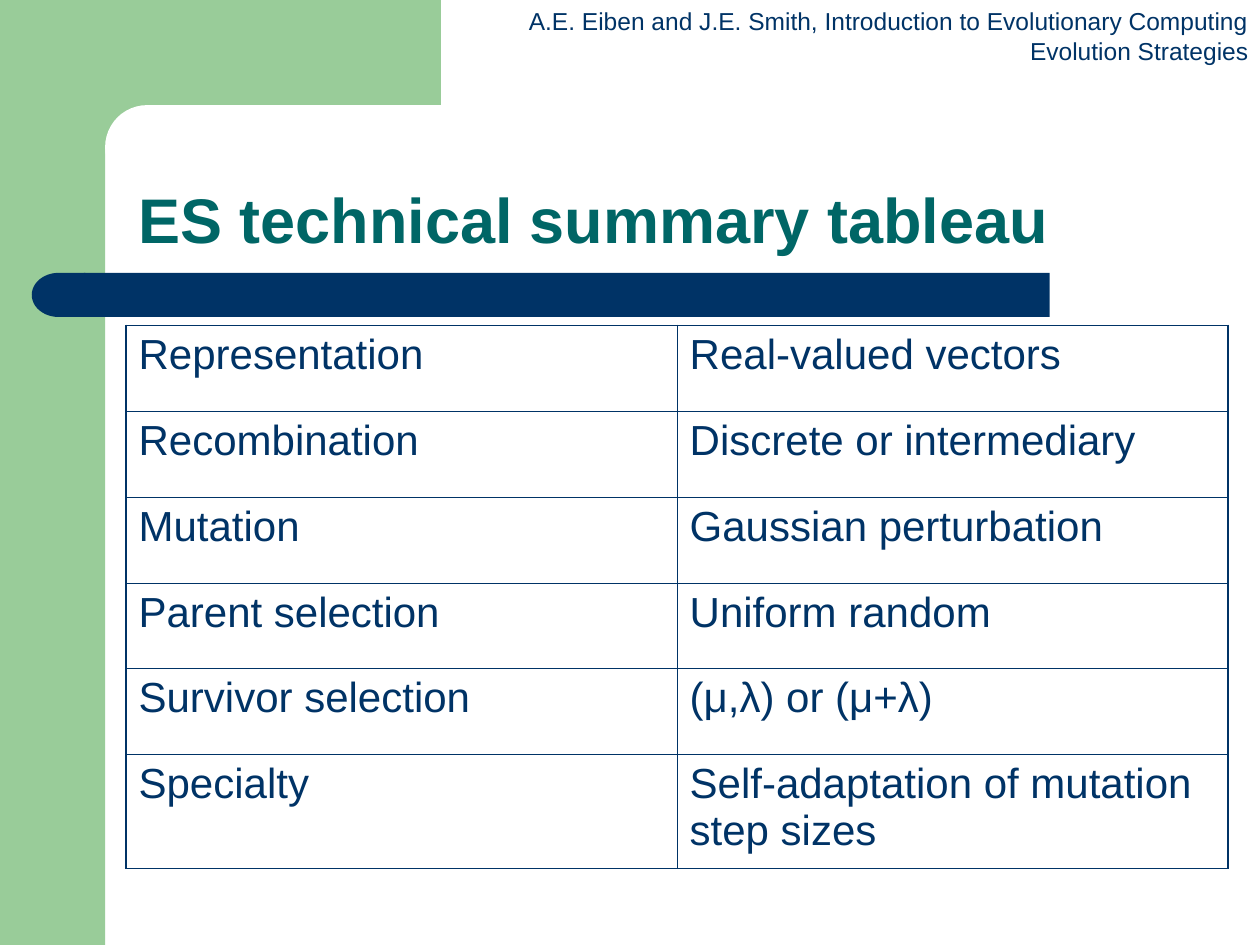
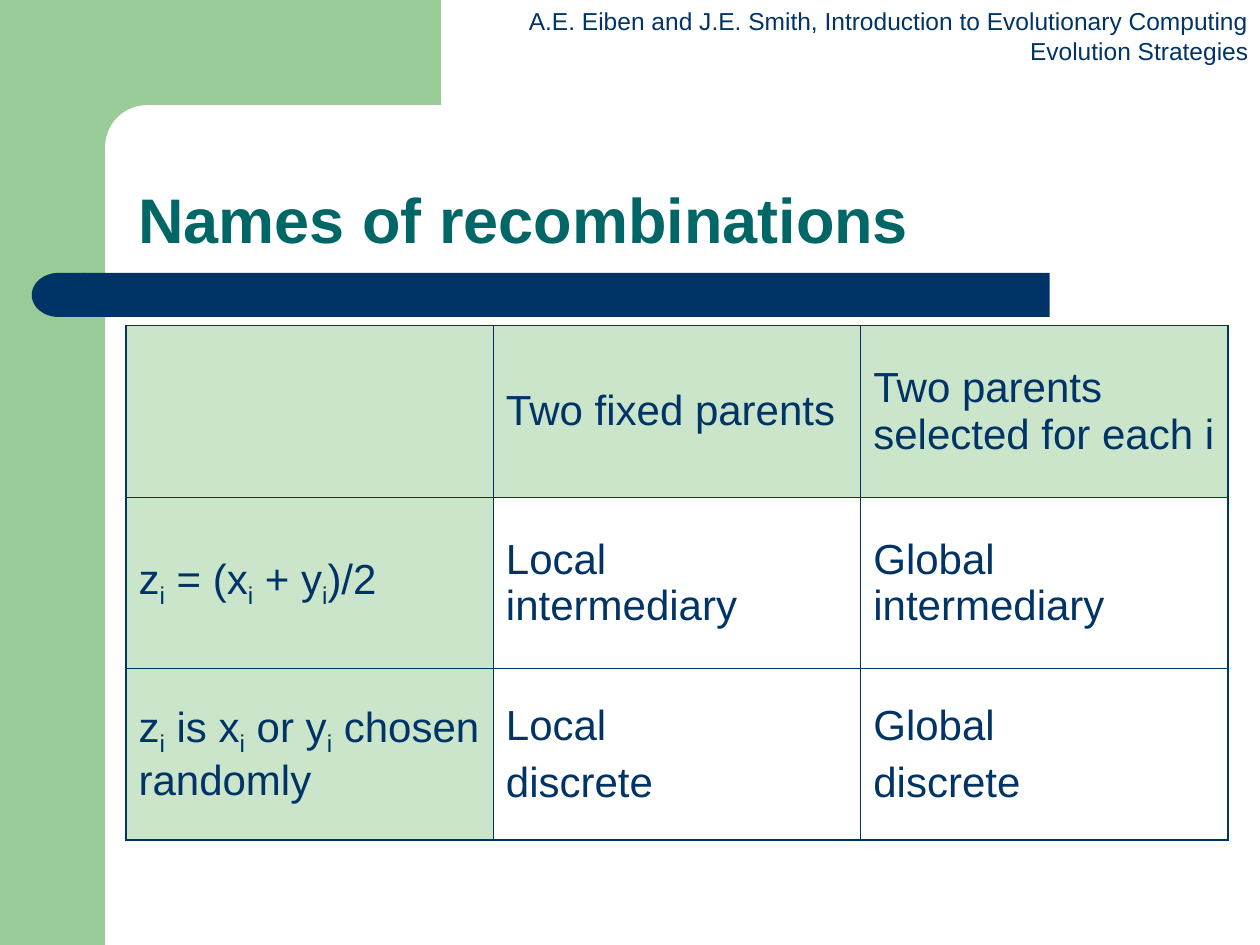
from lxml import etree
from pptx import Presentation
from pptx.dml.color import RGBColor
from pptx.enum.shapes import MSO_SHAPE as SHAPE
from pptx.enum.text import MSO_ANCHOR as ANCHOR, PP_ALIGN as ALIGN
from pptx.oxml.ns import qn
from pptx.util import Cm, Pt

COLORS = {"green": "99CC99", "navy": "003366", "teal": "006666", "white": "FFFFFF"}
FONT = "Arial"
THICK, THIN = Pt(1.08), Pt(0.45)

# Shared decoration: shape, left, top, width, height (cm), colour
DECORATION = [
    (SHAPE.RECTANGLE, 0, 0, 2.12, 19.05, "green"),
    (SHAPE.RECTANGLE, 1.9, 0, 6.99, 2.96, "green"),
    (SHAPE.ROUNDED_RECTANGLE, 2.12, 2.12, 14.18, 1.69, "white"),
    (SHAPE.RECTANGLE, 1.69, 5.5, 19.47, 0.89, "navy"),
    (SHAPE.FLOWCHART_DELAY, 0.64, 5.5, 1.08, 0.89, "navy"),
]
HEADER = ["A.E. Eiben and J.E. Smith, Introduction to Evolutionary Computing",
          "Evolution Strategies"]

# In cell text, "_i" is a subscript i and a line break starts a new paragraph
SLIDES = [
    {
        "title": "ES technical summary tableau",
        "heights": [1.73] * 5 + [2.3],
        "anchor": ANCHOR.TOP,
        "shaded": False,
        "rows": [
            ["Representation", "Real-valued vectors"],
            ["Recombination", "Discrete or intermediary"],
            ["Mutation", "Gaussian perturbation"],
            ["Parent selection", "Uniform random"],
            ["Survivor selection", "(μ,λ) or (μ+λ)"],
            ["Specialty", "Self-adaptation of mutation step sizes"],
        ],
    },
    {
        "title": "Names of recombinations",
        "heights": [3.46] * 3,
        "anchor": ANCHOR.MIDDLE,
        "shaded": True,
        "rows": [
            ["", "Two fixed parents", "Two parents selected for each i"],
            ["z_i = (x_i + y_i)/2", "Local intermediary", "Global intermediary"],
            ["z_i is x_i or y_i chosen randomly", "Local\ndiscrete", "Global\ndiscrete"],
        ],
    },
]


def write(tf, lines, size, color, bold=False):
    """Fill a text frame with one paragraph per line."""
    for n, line in enumerate(lines):
        p = tf.paragraphs[0] if n == 0 else tf.add_paragraph()
        p.font.name, p.font.size, p.font.bold = FONT, Pt(size), bold
        p.font.color.rgb = RGBColor.from_string(COLORS[color])
        for k, part in enumerate(line.split("_i")):
            if k > 0:
                r = p.add_run()
                r.text = "i"
                r.font._element.set("baseline", "-25000")
            if part:
                p.add_run().text = part


def add_border(cell, side, width):
    """Draw one side (L, R, T or B) of a table cell."""
    ln = etree.SubElement(cell._tc.get_or_add_tcPr(), qn(f"a:ln{side}"), w=str(width))
    fill = etree.SubElement(ln, qn("a:solidFill"))
    etree.SubElement(fill, qn("a:srgbClr"), val=COLORS["navy"])


prs = Presentation()
prs.slide_width, prs.slide_height = Cm(25.4), Cm(19.05)

for content in SLIDES:
    slide = prs.slides.add_slide(prs.slide_layouts[6])

    # Green frame and navy bar
    for kind, x, y, w, h, color in DECORATION:
        s = slide.shapes.add_shape(kind, Cm(x), Cm(y), Cm(w), Cm(h))
        s.shadow.inherit = False
        s.fill.solid()
        s.fill.fore_color.rgb = RGBColor.from_string(COLORS[color])
        s.line.fill.background()
        if kind == SHAPE.ROUNDED_RECTANGLE:
            s.adjustments[0] = 0.5
        elif kind == SHAPE.FLOWCHART_DELAY:
            s.rotation = 180

    # Running header
    tf = slide.shapes.add_textbox(Cm(10.41), 0, Cm(15.01), Cm(1.45)).text_frame
    tf.word_wrap = False
    write(tf, HEADER, 14, "navy")
    for p in tf.paragraphs:
        p.alignment = ALIGN.RIGHT

    # Title
    tf = slide.shapes.add_textbox(Cm(2.54), Cm(2.12), Cm(22.22), Cm(3.18)).text_frame
    tf.word_wrap = True
    tf.vertical_anchor = ANCHOR.BOTTOM
    write(tf, [content["title"]], 36, "teal", bold=True)
    tf.paragraphs[0].line_spacing = 0.9

    # Table
    rows, heights = content["rows"], content["heights"]
    last_row, last_col = len(rows) - 1, len(rows[0]) - 1
    table = slide.shapes.add_table(len(rows), len(rows[0]), Cm(2.54), Cm(6.56),
                                   Cm(22.22), Cm(sum(heights))).table
    table.first_row = table.horz_banding = False
    for i, row in enumerate(rows):
        table.rows[i].height = Cm(heights[i])
        for j, text in enumerate(row):
            cell = table.cell(i, j)
            cell.vertical_anchor = content["anchor"]
            write(cell.text_frame, text.split("\n"), 24, "navy")
            for p in cell.text_frame.paragraphs:
                p.space_before = Pt(6)

            # Thick outer edge, thin inner grid
            for side, outer in (("L", j == 0), ("R", j == last_col),
                                ("T", i == 0), ("B", i == last_row)):
                add_border(cell, side, THICK if outer else THIN)

            # Half-transparent green behind the row and column heads
            if content["shaded"] and (i == 0 or j == 0):
                cell.fill.solid()
                cell.fill.fore_color.rgb = RGBColor.from_string(COLORS["green"])
                clr = cell._tc.tcPr.find(qn("a:solidFill")).find(qn("a:srgbClr"))
                etree.SubElement(clr, qn("a:alpha"), val="50000")
            else:
                cell.fill.background()

prs.save("out.pptx")
